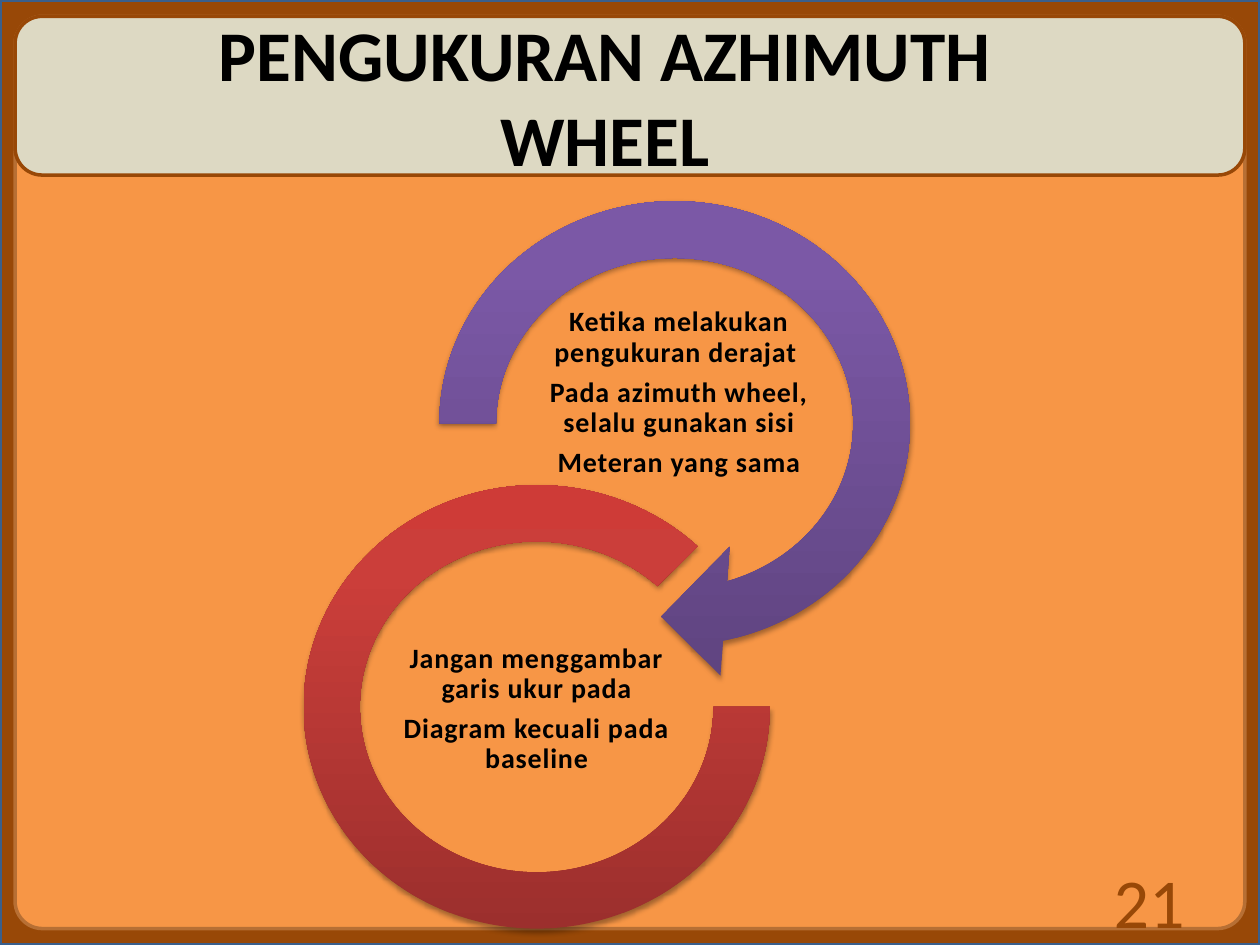
from dataclasses import dataclass
from copy import deepcopy

from lxml.etree import SubElement
from pptx import Presentation
from pptx.dml.color import RGBColor
from pptx.enum.shapes import MSO_SHAPE
from pptx.enum.text import MSO_ANCHOR, PP_ALIGN
from pptx.oxml.ns import qn
from pptx.util import Inches, Pt

# The slide is a grid of 100 columns by 75 rows
COLUMNS, ROWS = 100, 75
WIDTH, HEIGHT = Inches(10), Inches(7.5)


@dataclass(frozen=True)
class Theme:
    font: str = "Calibri"
    ink: str = "000000"
    brown: str = "984807"
    frame_edge: str = "3A5F8C"
    orange: str = "F79646"
    orange_edge: str = "B76F34"
    cream: str = "DDD9C3"
    purples: tuple = ("5F4480", "7B58A6", "7C57A8")
    reds: tuple = ("9C2F2D", "CB3E3A", "CE3B37")
    stops: tuple = (0, 0.8, 1)
    title_size: float = 40.7
    number_size: float = 40
    body_size: float = 16


THEME = Theme()


def cells(col, row, cols, rows):
    """Turn a place on the grid into left, top, width and height."""
    return (int(WIDTH * col / COLUMNS), int(HEIGHT * row / ROWS),
            int(WIDTH * cols / COLUMNS), int(HEIGHT * rows / ROWS))


def add_panel(slide, place, fill, edge, corner):
    panel = slide.shapes.add_shape(MSO_SHAPE.ROUNDED_RECTANGLE, *cells(*place))
    panel.adjustments[0] = corner
    panel.shadow.inherit = False
    panel.fill.solid()
    panel.fill.fore_color.rgb = RGBColor.from_string(fill)
    panel.line.color.rgb = RGBColor.from_string(edge)
    panel.line.width = Pt(2)


def add_shadow(ring):
    ring.shadow.inherit = False
    effects = ring._element.spPr.find(qn("a:effectLst"))
    shadow = SubElement(effects, qn("a:outerShdw"), blurRad=str(Pt(3.1)),
                        dist=str(Pt(1.8)), dir="5400000", rotWithShape="0")
    color = SubElement(shadow, qn("a:srgbClr"), val=THEME.ink)
    SubElement(color, qn("a:alpha"), val="35000")


def add_ring(slide, preset, place, adjustments, shades):
    ring = slide.shapes.add_shape(preset, *cells(*place))
    for index, value in enumerate(adjustments):
        ring.adjustments[index] = value
    ring.line.fill.background()
    ring.fill.gradient()
    ring.fill.gradient_angle = 90
    # The default gradient has two stops; a third is needed
    stop_list = ring._element.spPr.find(qn("a:gradFill")).find(qn("a:gsLst"))
    stop_list.append(deepcopy(stop_list[-1]))
    for stop, position, shade in zip(ring.fill.gradient_stops, THEME.stops, shades):
        stop.position = position
        stop.color.rgb = RGBColor.from_string(shade)
    add_shadow(ring)


def add_text(slide, place, *lines, size, color=THEME.ink, bold=False,
             align=PP_ALIGN.CENTER, inset=None, line_spacing=None,
             space_after=None, tracking=None):
    frame = slide.shapes.add_textbox(*cells(*place)).text_frame
    frame.word_wrap = True
    frame.vertical_anchor = MSO_ANCHOR.MIDDLE
    if inset is not None:
        frame.margin_left = frame.margin_right = Inches(inset)
        frame.margin_top = frame.margin_bottom = Inches(inset)
    for index, line in enumerate(lines):
        paragraph = frame.paragraphs[0] if index == 0 else frame.add_paragraph()
        paragraph.alignment = align
        paragraph.line_spacing = line_spacing
        paragraph.space_after = space_after
        run = paragraph.add_run()
        run.text = line
        run.font.name = THEME.font
        run.font.size = Pt(size)
        run.font.bold = bold
        run.font.color.rgb = RGBColor.from_string(color)
        if tracking is not None:
            run._r.get_or_add_rPr().set("spc", str(int(tracking * 100)))


def main():
    deck = Presentation()
    deck.slide_width, deck.slide_height = WIDTH, HEIGHT
    slide = deck.slides.add_slide(deck.slide_layouts[6])

    # Frame, content area and title band
    add_panel(slide, (0, 0, COLUMNS, ROWS), THEME.brown, THEME.frame_edge, 0)
    add_panel(slide, (1.2, 1.3, 97.6, 72.4), THEME.orange, THEME.orange_edge, 0.03)
    add_panel(slide, (1.2, 1.3, 97.6, 12.6), THEME.cream, THEME.brown, 0.17)
    add_text(slide, (9.8, 1.3, 76.4, 12.6), "PENGUKURAN AZHIMUTH WHEEL",
             size=THEME.title_size, bold=True)

    # Two linked rings with their advice
    advice = dict(size=THEME.body_size, bold=True, inset=0.01,
                  line_spacing=0.9, space_after=Pt(5.6), tracking=0.5)
    add_ring(slide, MSO_SHAPE.CIRCULAR_ARROW, (32, 13.1, 43.1, 41),
             (0.11, 11.42, 45, 108, 0.125), THEME.purples)
    add_text(slide, (42.9, 25.7, 22, 11),
             "Ketika melakukan pengukuran derajat ",
             "Pada azimuth wheel, selalu gunakan sisi",
             "Meteran yang sama", **advice)
    add_ring(slide, MSO_SHAPE.BLOCK_ARC, (24.1, 38.5, 37, 35.2),
             (0, 189, 0.127), THEME.reds)
    add_text(slide, (31.6, 50.8, 22, 11),
             "Jangan menggambar garis ukur pada",
             "Diagram kecuali pada baseline", **advice)

    # Slide number
    add_text(slide, (71.7, 69.5, 23.3, 4), "21", size=THEME.number_size,
             color=THEME.brown, align=PP_ALIGN.RIGHT)

    deck.save("out.pptx")


if __name__ == "__main__":
    main()
